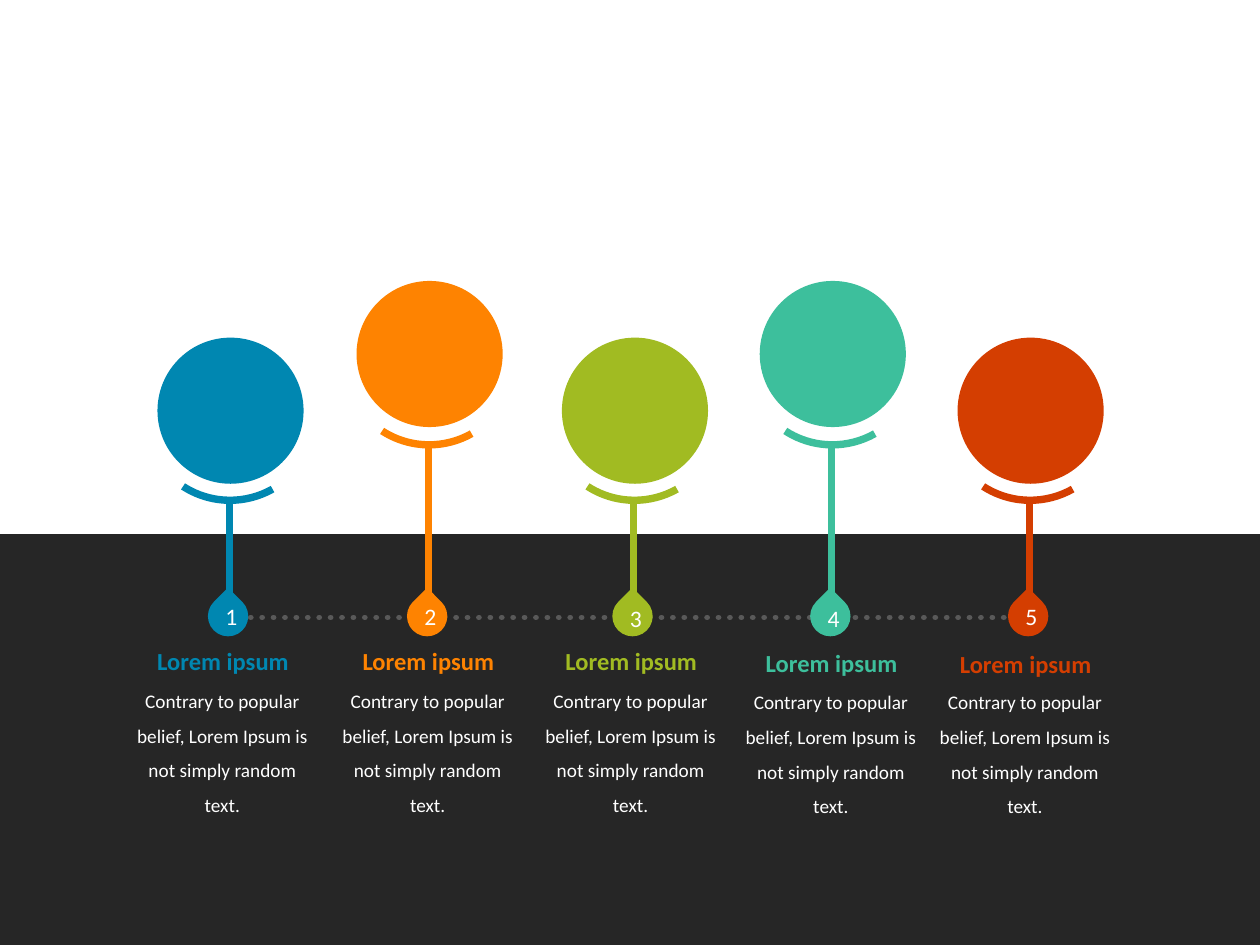
from dataclasses import dataclass

from lxml import etree
from pptx import Presentation
from pptx.dml.color import RGBColor
from pptx.enum.dml import MSO_LINE
from pptx.enum.shapes import MSO_CONNECTOR, MSO_SHAPE
from pptx.enum.text import MSO_AUTO_SIZE, PP_ALIGN
from pptx.oxml.ns import qn
from pptx.util import Inches, Pt

STRAIGHT = MSO_CONNECTOR.STRAIGHT
RECTANGLE = MSO_SHAPE.RECTANGLE
OVAL = MSO_SHAPE.OVAL
TEARDROP = MSO_SHAPE.TEAR
BLOCK_ARC = MSO_SHAPE.BLOCK_ARC
ROUND_DOT = MSO_LINE.ROUND_DOT
CENTER = PP_ALIGN.CENTER
FIT_TEXT = MSO_AUTO_SIZE.SHAPE_TO_FIT_TEXT

WHITE = RGBColor(0xFF, 0xFF, 0xFF)
DARK = RGBColor(0x26, 0x26, 0x26)
GRAY = RGBColor(0x59, 0x59, 0x59)
BLUE = RGBColor(0x00, 0x87, 0xB1)
ORANGE = RGBColor(0xFE, 0x83, 0x01)
GREEN = RGBColor(0xA1, 0xBB, 0x22)
TEAL = RGBColor(0x3D, 0xBF, 0x9C)
RED = RGBColor(0xD4, 0x3E, 0x01)

FONT = "Calibri"
TITLE = "Lorem ipsum"
BODY = "Contrary to popular belief, Lorem Ipsum is not simply random text."


@dataclass
class Level:
    circle_top: float
    arc_top: float
    stem_top: float


LOW = Level(2.68, 2.57, 4.0)
HIGH = Level(2.23, 2.13, 3.53)


@dataclass
class Step:
    color: RGBColor
    level: Level
    stem_x: float
    number_top: float
    label_left: float
    title_top: float
    body_top: float


STEPS = [
    Step(BLUE, LOW, 1.82, 4.73, 0.93, 5.08, 5.33),
    Step(ORANGE, HIGH, 3.4, 4.73, 2.56, 5.08, 5.33),
    Step(GREEN, LOW, 5.03, 4.74, 4.17, 5.08, 5.33),
    Step(TEAL, HIGH, 6.6, 4.74, 5.76, 5.09, 5.34),
    Step(RED, LOW, 8.17, 4.73, 7.3, 5.1, 5.34),
]


def add_filled(shapes, kind, left, top, width, height, color, rotation=0):
    shape = shapes.add_shape(
        kind, Inches(left), Inches(top), Inches(width), Inches(height)
    )
    shape.shadow.inherit = False
    shape.fill.solid()
    shape.fill.fore_color.rgb = color
    shape.line.fill.background()
    shape.rotation = rotation
    return shape


def add_line(shapes, start_x, start_y, end_x, end_y, color, weight, dash=None):
    connector = shapes.add_connector(
        STRAIGHT, Inches(start_x), Inches(start_y), Inches(end_x), Inches(end_y)
    )
    connector.line.color.rgb = color
    connector.line.width = Pt(weight)
    properties = connector._element.spPr
    if dash:
        connector.line.dash_style = dash
        properties.find(qn("a:ln")).set("cap", "rnd")
    etree.SubElement(properties, qn("a:effectLst"))


def add_text(shapes, text, left, top, width, height, size, color,
             bold=False, spacing=None, wrap=True):
    box = shapes.add_textbox(
        Inches(left), Inches(top), Inches(width), Inches(height)
    )
    frame = box.text_frame
    frame.word_wrap = wrap
    frame.auto_size = FIT_TEXT
    paragraph = frame.paragraphs[0]
    paragraph.alignment = CENTER
    paragraph.line_spacing = spacing
    run = paragraph.add_run()
    run.text = text
    run.font.name = FONT
    run.font.size = Pt(size)
    run.font.bold = bold
    run.font.color.rgb = color


def add_pin(slide, number, step):
    shapes = slide.shapes.add_group_shape().shapes
    x = step.stem_x
    add_line(shapes, x, 4.84, x, step.level.stem_top, step.color, 4.25)
    arc = add_filled(
        shapes, BLOCK_ARC, x - 0.71, step.level.arc_top, 1.43, 1.43, step.color, 128
    )
    for index, value in enumerate((175.496, 212.976, 0.041)):
        arc.adjustments[index] = value
    add_filled(shapes, TEARDROP, x - 0.17, 4.73, 0.32, 0.32, step.color, 315)
    add_text(shapes, str(number), x - 0.13, step.number_top, 0.26, 0.33,
             13.5, WHITE, wrap=False)


def add_label(slide, step):
    shapes = slide.shapes.add_group_shape().shapes
    add_text(shapes, BODY, step.label_left, step.body_top, 1.67, 1.21,
             11, WHITE, spacing=1.5)
    add_text(shapes, TITLE, step.label_left + 0.17, step.title_top, 1.34, 0.34,
             14, step.color, bold=True)


def main():
    presentation = Presentation()
    presentation.slide_width = Inches(10)
    presentation.slide_height = Inches(7.5)
    slide = presentation.slides.add_slide(presentation.slide_layouts[6])

    add_filled(slide.shapes, RECTANGLE, 0, 4.24, 10, 3.26, DARK)
    add_line(slide.shapes, 1.99, 4.9, 7.99, 4.9, GRAY, 3.25, ROUND_DOT)
    for step in STEPS:
        add_filled(slide.shapes, OVAL, step.stem_x - 0.57, step.level.circle_top,
                   1.16, 1.16, step.color)
    for number, step in enumerate(STEPS, 1):
        add_pin(slide, number, step)
    for step in STEPS:
        add_label(slide, step)

    presentation.save("out.pptx")


if __name__ == "__main__":
    main()
